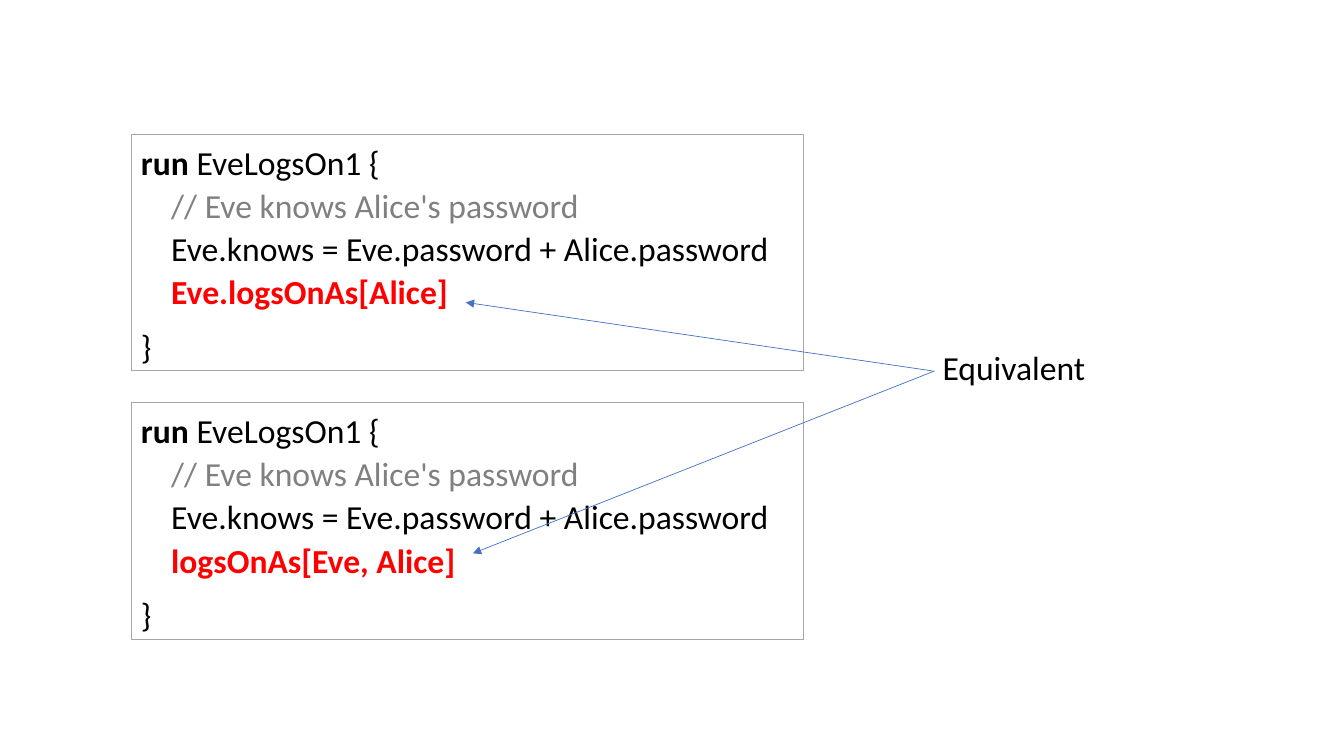
from pptx import Presentation
from pptx.dml.color import RGBColor
from pptx.enum.shapes import MSO_CONNECTOR
from pptx.enum.text import MSO_AUTO_SIZE
from pptx.oxml.ns import qn
from pptx.util import Inches, Pt
from lxml.etree import SubElement

COLORS = {
    "text": "000000",
    "comment": "808080",
    "call": "FF0000",
    "border": "A6A6A6",
    "arrow": "4472C4",
}


def rgb(name):
    return RGBColor.from_string(COLORS[name])


def set_font(font, color="text", bold=False):
    font.name = "Calibri"
    font.size = Pt(24)
    font.bold = bold
    font.color.rgb = rgb(color)


def add_text_box(slide, left, top, width, height, wrap):
    sp = slide.shapes.add_textbox(
        Inches(left), Inches(top), Inches(width), Inches(height))
    sp.text_frame.word_wrap = wrap
    sp.text_frame.auto_size = MSO_AUTO_SIZE.SHAPE_TO_FIT_TEXT
    return sp


def add_code_line(p, text, color="text", bold=False, indent=0.3, after=0):
    p.text = text
    p.line_spacing = 1.07
    p.space_after = Pt(after)
    p._p.get_or_add_pPr().set("marL", str(Inches(indent)))
    set_font(p.font, color, bold)


def add_code_box(slide, top, call):
    sp = add_text_box(slide, 1.3, top, 6.67, 2.35, True)
    sp.line.color.rgb = rgb("border")
    sp.line.width = Pt(0.75)
    tf = sp.text_frame
    header = tf.paragraphs[0]
    add_code_line(header, "run", indent=0)
    header.runs[0].font.bold = True
    header.add_run().text = " EveLogsOn1 {"
    add_code_line(tf.add_paragraph(), "// Eve knows Alice's password", "comment")
    add_code_line(tf.add_paragraph(), "Eve.knows = Eve.password + Alice.password")
    add_code_line(tf.add_paragraph(), call, "call", bold=True, after=8)
    add_code_line(tf.add_paragraph(), "}", indent=0, after=8)


def add_arrow(slide, start, end):
    line = slide.shapes.add_connector(
        MSO_CONNECTOR.STRAIGHT, *map(Inches, start + end))
    line.line.color.rgb = rgb("arrow")
    line.line.width = Pt(0.5)
    SubElement(line.line._get_or_add_ln(), qn("a:tailEnd"), type="triangle")
    SubElement(line._element.spPr, qn("a:effectLst"))


def add_label(slide, text):
    p = add_text_box(slide, 9.25, 3.39, 1.63, 0.5, False).text_frame.paragraphs[0]
    p.text = text
    set_font(p.font)


def main():
    prs = Presentation()
    prs.slide_width, prs.slide_height = Inches(13.33), Inches(7.5)
    slide = prs.slides.add_slide(prs.slide_layouts[6])
    add_code_box(slide, 1.33, "Eve.logsOnAs[Alice]")
    add_code_box(slide, 3.99, "logsOnAs[Eve, Alice]")
    add_arrow(slide, (9.25, 3.68), (4.62, 3))
    add_arrow(slide, (9.27, 3.68), (4.69, 5.49))
    add_label(slide, "Equivalent")
    prs.save("out.pptx")


main()
